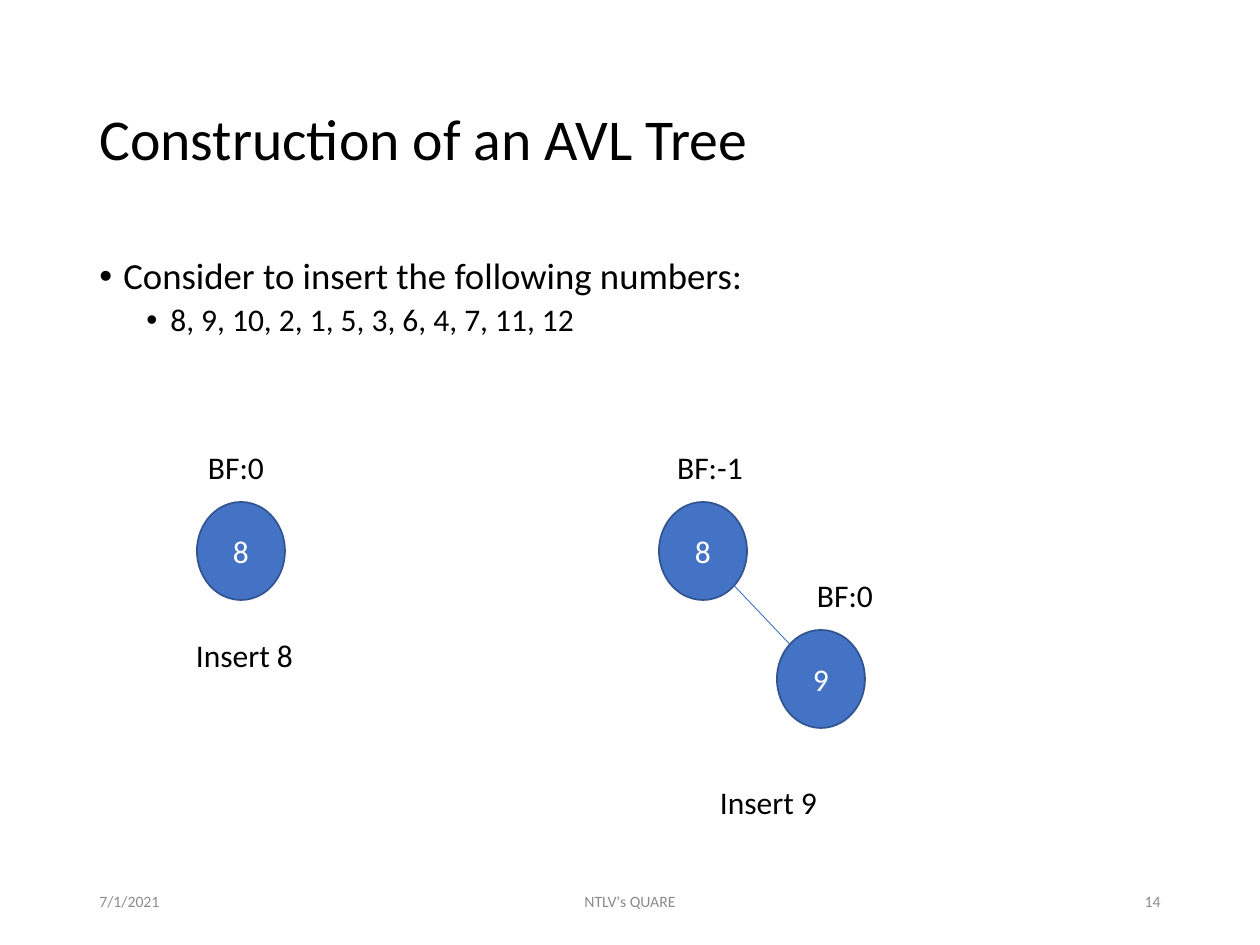
import math

import lxml.etree
import pptx
import pptx.dml.color
import pptx.enum.shapes
import pptx.enum.text
import pptx.oxml.ns
import pptx.util

EMU_PER_PX = 914400 / 126
NODE_W, NODE_H = 88, 98
CAPTION_H = 50
ALIGN = pptx.enum.text.PP_ALIGN
ANCHOR = pptx.enum.text.MSO_ANCHOR


def px(length):
    """Turn px into EMU."""
    return pptx.util.Emu(round(length * EMU_PER_PX))


def color(hex_text):
    """Turn a hex string into a colour."""
    return pptx.dml.color.RGBColor.from_string(hex_text)


def write(paragraph, text, size=18, fill="000000", align=ALIGN.LEFT, spacing=1.0, before=0):
    """Put formatted text into a paragraph."""
    paragraph.alignment = align
    paragraph.line_spacing = spacing
    paragraph.space_before = pptx.util.Pt(before)
    run = paragraph.add_run()
    run.text = text
    run.font.name = "Calibri"
    run.font.size = pptx.util.Pt(size)
    run.font.color.rgb = color(fill)


def add_frame(slide, box, anchor=ANCHOR.TOP):
    """Add a wrapping text box and return its text frame."""
    frame = slide.shapes.add_textbox(*map(px, box)).text_frame
    frame.word_wrap = True
    frame.vertical_anchor = anchor
    return frame


def add_label(slide, box, text, anchor=ANCHOR.TOP, **text_format):
    """Add a text box of one paragraph."""
    write(add_frame(slide, box, anchor).paragraphs[0], text, **text_format)


def add_bullets(slide, box, items):
    """Add a bulleted list of (text, level, size, space before) items."""
    frame = add_frame(slide, box)
    for index, (text, level, size, before) in enumerate(items):
        paragraph = frame.add_paragraph() if index else frame.paragraphs[0]
        write(paragraph, text, size=size, spacing=0.9, before=before)
        paragraph.level = level
        properties = paragraph._p.get_or_add_pPr()
        properties.set("marL", str(px(24 + 47 * level)))
        properties.set("indent", str(px(-24)))
        for tag, attribute, value in (("a:buFont", "typeface", "Arial"), ("a:buChar", "char", "•")):
            bullet = lxml.etree.SubElement(properties, pptx.oxml.ns.qn(tag))
            bullet.set(attribute, value)


def add_node(slide, left, top, key):
    """Add one tree node."""
    node = slide.shapes.add_shape(
        pptx.enum.shapes.MSO_SHAPE.OVAL, px(left), px(top), px(NODE_W), px(NODE_H))
    node.shadow.inherit = False
    node.fill.solid()
    node.fill.fore_color.rgb = color("4472C4")
    node.line.color.rgb = color("325491")
    node.line.width = pptx.util.Pt(1)
    node.text_frame.vertical_anchor = ANCHOR.MIDDLE
    write(node.text_frame.paragraphs[0], key, fill="FFFFFF", align=ALIGN.CENTER)


def add_edge(slide, parent, child):
    """Join the lower right of a parent node to the upper left of its child."""
    reach_x, reach_y = (side / 2 * math.sqrt(0.5) for side in (NODE_W, NODE_H))
    points = (
        parent[0] + NODE_W / 2 + reach_x, parent[1] + NODE_H / 2 + reach_y,
        child[0] + NODE_W / 2 - reach_x, child[1] + NODE_H / 2 - reach_y)
    edge = slide.shapes.add_connector(pptx.enum.shapes.MSO_CONNECTOR.STRAIGHT, *map(px, points))
    edge.line.color.rgb = color("4472C4")
    edge.line.width = pptx.util.Pt(0.5)
    lxml.etree.SubElement(edge._element.spPr, pptx.oxml.ns.qn("a:effectLst"))


def add_tree(slide, box, nodes, caption, caption_left):
    """Add a right-leaning chain of (key, x, y, factor, factor x, factor width) nodes."""
    left, top, width, height = box
    centers = [(left + x, top + y) for _, x, y, *_ in nodes]
    for (key, _, _, factor, factor_x, factor_w), (x, y) in zip(nodes, centers):
        add_node(slide, x, y, key)
        add_label(slide, (left + factor_x, y - 60, factor_w, CAPTION_H), factor, align=ALIGN.CENTER)
    for parent, child in zip(centers, centers[1:]):
        add_edge(slide, parent, child)
    caption_box = (left + caption_left, top + height - CAPTION_H, width, CAPTION_H)
    add_label(slide, caption_box, caption, align=ALIGN.CENTER)


def add_footer(slide, box, date, owner, number):
    """Add the date, owner and slide number along the bottom."""
    left, top, width, height = box
    side, middle = 284, 426
    parts = (
        (date, left, side, ALIGN.LEFT),
        (owner, left + (width - middle) / 2, middle, ALIGN.CENTER),
        (number, left + width - side, side, ALIGN.RIGHT))
    for text, x, part_width, align in parts:
        add_label(slide, (x, top, part_width, height), text, anchor=ANCHOR.MIDDLE,
                  size=9, fill="8C8C8C", align=align)


def main():
    """Build and save the slide."""
    deck = pptx.Presentation()
    deck.slide_width, deck.slide_height = px(1260), px(945)
    slide = deck.slides.add_slide(deck.slide_layouts[6])
    add_label(slide, (87, 50, 1086, 183), "Construction of an AVL Tree",
              anchor=ANCHOR.MIDDLE, size=33, spacing=0.9)
    add_bullets(slide, (87, 252, 1086, 600), [
        ("Consider to insert the following numbers:", 0, 21, 7.5),
        ("8, 9, 10, 2, 1, 5, 3, 6, 4, 7, 11, 12", 1, 18, 3.8)])
    add_tree(slide, (126, 441, 237, 239), [("8", 71, 61, "BF:0", 63, 94)], "Insert 8", 0)
    add_tree(slide, (651, 441, 237, 386), [
        ("8", 8, 61, "BF:-1", 0, 118),
        ("9", 126, 189, "BF:0", 136, 116)], "Insert 9", -1)
    add_footer(slide, (87, 876, 1086, 50), "7/1/2021", "NTLV's QUARE", "14")
    deck.save("out.pptx")


if __name__ == "__main__":
    main()
